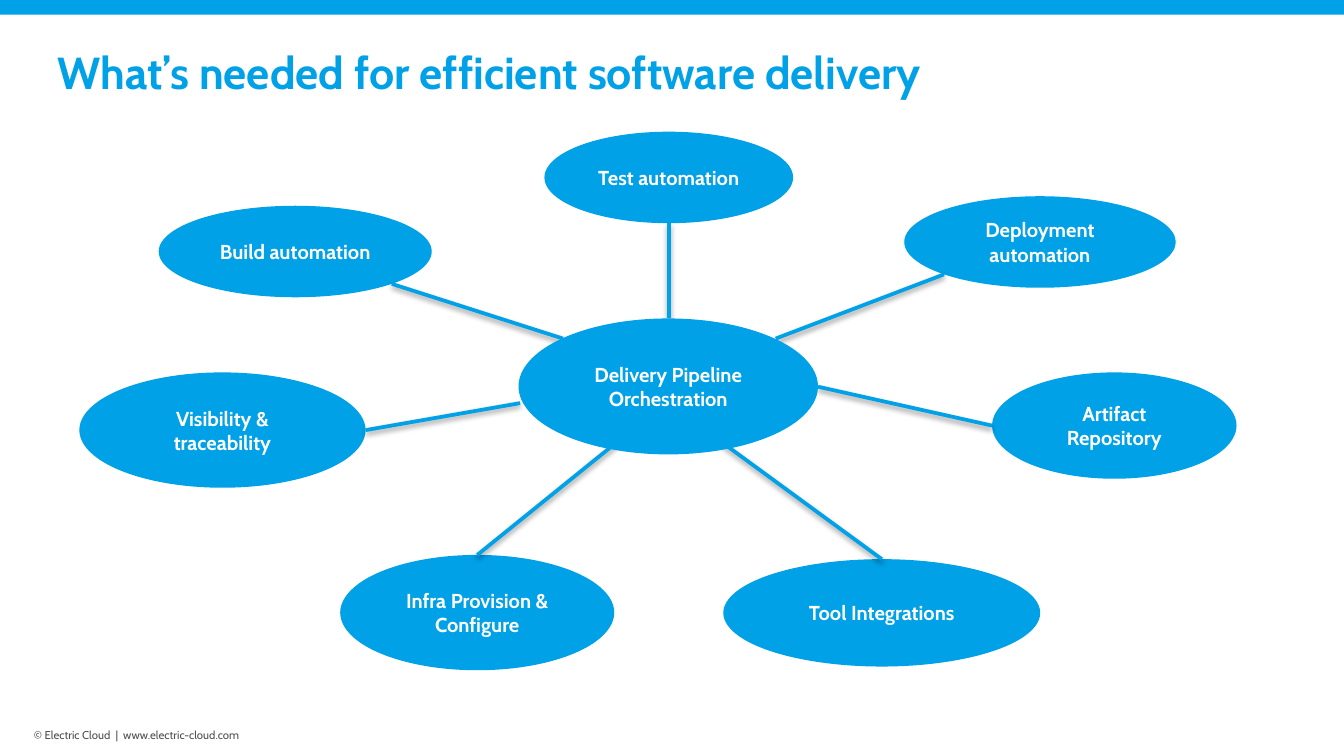
import math
import pptx
import pptx.util
import pptx.dml.color
import pptx.enum.shapes
import pptx.enum.text
import pptx.oxml
from pptx.util import Cm

BLUE, WHITE, GREY = "01A1E7", "FFFFFF", "505050"
FONT = "Cabin"
TITLE = "What’s needed for efficient software delivery"
CREDIT = "© Electric Cloud  |  www.electric-cloud.com"

# Hub: text and box (left, top, width, height in cm)
HUB = ("Delivery Pipeline Orchestration", (9.8, 6.02, 5.66, 2.57))

# Nodes: text, box, angle where the spoke leaves, spoke end at the hub
NODES = [
    ("Build automation", (3, 3.89, 5.16, 1.73), 45, (10.64, 6.4)),
    ("Test automation", (10.29, 2.49, 4.7, 1.73), 90, (12.64, 6.02)),
    ("Deployment automation", (17.09, 3.71, 5.13, 1.73), 135, (14.66, 6.4)),
    ("Artifact Repository", (18.75, 7.04, 4.62, 2.01), 180, (15.46, 7.31)),
    ("Tool Integrations", (13.67, 10.57, 5.99, 2.03), 270, (13.67, 8.38)),
    ("Infra Provision & Configure", (6.43, 10.49, 5.18, 2.18), 270, (11.63, 8.38)),
    ("Visibility & traceability", (1.5, 7.04, 5.41, 2.18), 0, (9.83, 7.62)),
]

SHADOW = (
    '<a:effectLst xmlns:a="http://schemas.openxmlformats.org/drawingml/2006/main">'
    '<a:outerShdw blurRad="39370" dist="20320" dir="5400000" rotWithShape="0">'
    '<a:srgbClr val="000000"><a:alpha val="38000"/></a:srgbClr>'
    '</a:outerShdw></a:effectLst>'
)


def hue(code):
    return pptx.dml.color.RGBColor.from_string(code)


def write(shape, text, size, color, bold=False, align="LEFT", anchor="MIDDLE",
          pads=(0.13, 0.13, 0.13, 0.13)):
    frame = shape.text_frame
    frame.word_wrap = True
    frame.auto_size = pptx.enum.text.MSO_AUTO_SIZE.NONE
    frame.vertical_anchor = pptx.enum.text.MSO_ANCHOR[anchor]
    (frame.margin_left, frame.margin_top,
     frame.margin_right, frame.margin_bottom) = map(Cm, pads)
    para = frame.paragraphs[0]
    para.alignment = pptx.enum.text.PP_ALIGN[align]
    run = para.add_run()
    run.text = text
    run.font.name = FONT
    run.font.size = pptx.util.Pt(size)
    run.font.bold = bold
    run.font.color.rgb = hue(color)


def draw(kind, box):
    shape = slide.shapes.add_shape(
        pptx.enum.shapes.MSO_SHAPE[kind], *map(Cm, box))
    shape.shadow.inherit = False
    shape.fill.solid()
    shape.fill.fore_color.rgb = hue(BLUE)
    shape.line.fill.background()
    return shape


def bubble(text, box):
    write(draw("OVAL", box), text, 10.8, WHITE, bold=True, align="CENTER")


def rim(box, angle):
    left, top, width, height = box
    turn = math.radians(angle)
    return (left + width / 2 * (1 + math.cos(turn)),
            top + height / 2 * (1 + math.sin(turn)))


def spoke(start, end):
    line = slide.shapes.add_connector(
        pptx.enum.shapes.MSO_CONNECTOR.STRAIGHT, *map(Cm, start + end))
    line.line.color.rgb = hue(BLUE)
    line.line.width = pptx.util.Pt(2)
    line._element.spPr.append(pptx.oxml.parse_xml(SHADOW))


deck = pptx.Presentation()
deck.slide_width, deck.slide_height = Cm(25.4), Cm(14.29)
slide = deck.slides.add_slide(deck.slide_layouts[5])

# Title
title = slide.shapes.title
title.left, title.top, title.width, title.height = map(Cm, (0.84, 0.71, 22.6, 1.27))
write(title, TITLE, 24, BLUE, bold=True, pads=(0.25, 0.13, 0.25, 0.13))

# Top band and copyright line
draw("RECTANGLE", (0, 0, 25.4, 0.28))
credit = slide.shapes.add_textbox(*map(Cm, (0.64, 13.72, 4.65, 0.51)))
write(credit, CREDIT, 6.1, GREY, anchor="TOP", pads=(0, 0.05, 0, 0))

# Nodes, then spokes, then the hub over the spoke ends
for text, box, angle, end in NODES:
    bubble(text, box)
for text, box, angle, end in NODES:
    spoke(rim(box, angle), end)
bubble(*HUB)

deck.save("out.pptx")
